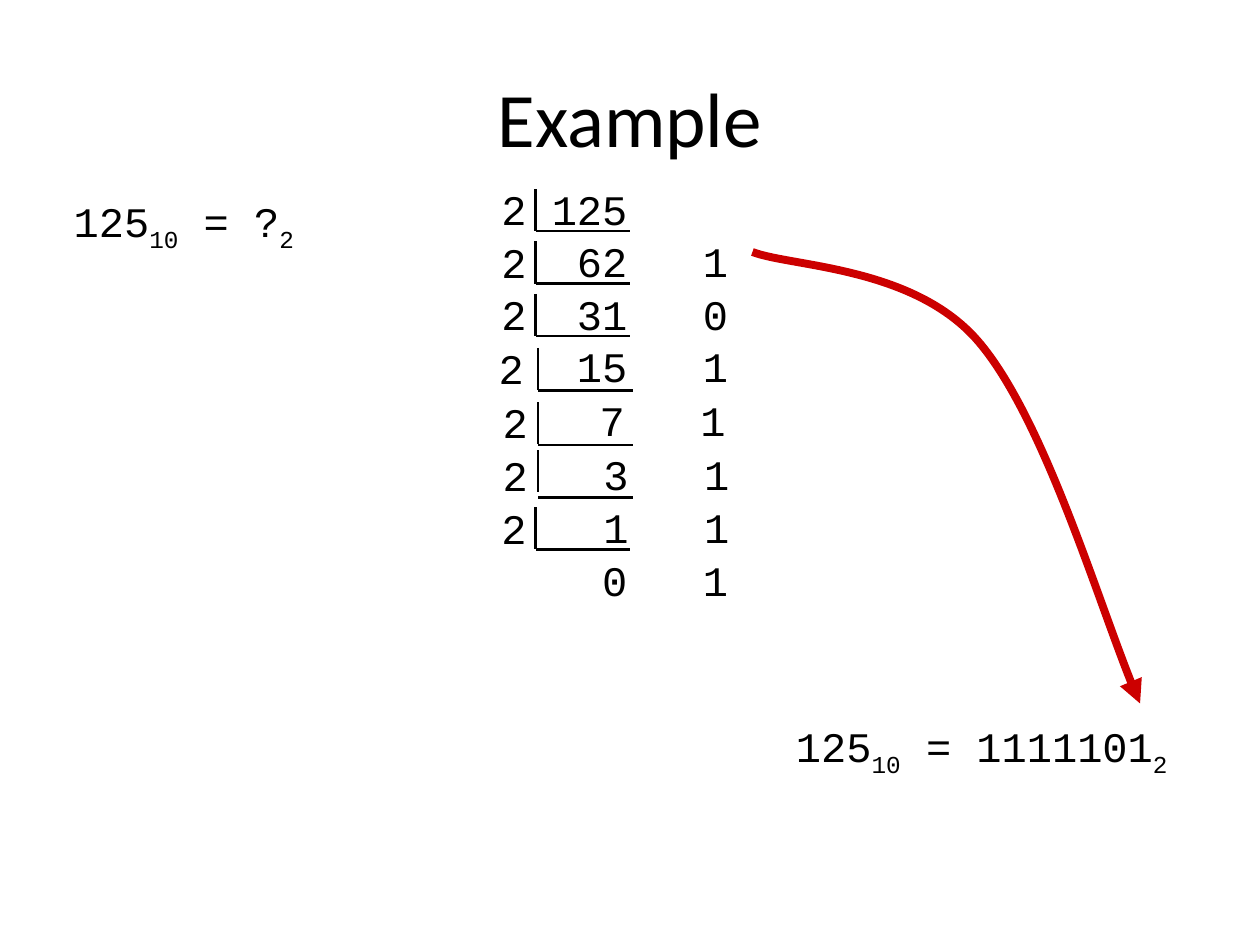
import pptx
import pptx.util
import pptx.dml.color
import pptx.enum.shapes
import pptx.enum.text
import pptx.oxml
from dataclasses import dataclass
from lxml import etree
from pptx.oxml.ns import qn

Pt = pptx.util.Pt
RGB = pptx.dml.color.RGBColor
Align = pptx.enum.text.PP_ALIGN
Anchor = pptx.enum.text.MSO_ANCHOR


@dataclass(frozen=True)
class Theme:
    ink: RGB = RGB(0, 0, 0)
    arrow: RGB = RGB(0xCC, 0, 0)
    title_font: str = "Calibri"
    title_size: float = 44
    number_font: str = "Courier New"
    number_size: float = 24
    line_pitch: float = 29.7
    bracket_width: float = 1.5
    arrow_width: float = 4.5


THEME = Theme()
CHARACTER = 0.6 * THEME.number_size  # advance of one monospaced character

# Each division: box left, box top, bracket left, bar top, base line
STEPS = [
    (279.4, 102.2, 306, 108, 132),
    (279.4, 132, 306, 138, 162),
    (279.4, 162, 306, 168, 192),
    (277.9, 193, 307.5, 198.8, 223),
    (280.1, 223.9, 307.5, 230, 254.2),
    (280.1, 254.2, 307.5, 257.2, 284.4),
    (279.4, 284.4, 306, 290, 314),
]


def add_text_box(shapes, box, anchor=Anchor.TOP):
    shape = shapes.add_textbox(*(Pt(length) for length in box))
    frame = shape.text_frame
    frame.word_wrap = True
    frame.vertical_anchor = anchor
    return frame


def style_numbers(paragraph):
    paragraph.line_spacing = Pt(THEME.line_pitch)
    paragraph.font.name = THEME.number_font
    paragraph.font.size = Pt(THEME.number_size)
    paragraph.font.color.rgb = THEME.ink


def add_title(slide, box, text):
    paragraph = add_text_box(slide.shapes, box, Anchor.MIDDLE).paragraphs[0]
    paragraph.text = text
    paragraph.alignment = Align.CENTER
    paragraph.font.name = THEME.title_font
    paragraph.font.size = Pt(THEME.title_size)
    paragraph.font.color.rgb = THEME.ink


def add_equation(slide, box, value, base, result, result_base):
    frame = add_text_box(slide.shapes, box)
    frame.margin_top = Pt(7)
    paragraph = frame.paragraphs[0]
    paragraph.alignment = Align.CENTER
    style_numbers(paragraph)
    for text, subscript in ((value, base), (f" = {result}", result_base)):
        paragraph.add_run().text = text
        run = paragraph.add_run()
        run.text = subscript
        run.font._element.set("baseline", "-25000")


def add_right_tabs(paragraph, positions):
    properties = paragraph._p.get_or_add_pPr()
    tabs = etree.SubElement(properties, qn("a:tabLst"))
    for position in positions:
        etree.SubElement(tabs, qn("a:tab"), pos=str(Pt(position)), algn="r")


def add_line(shapes, start, end):
    line = shapes.add_connector(
        pptx.enum.shapes.MSO_CONNECTOR.STRAIGHT,
        *(Pt(length) for length in (*start, *end)))
    line.line.color.rgb = THEME.ink
    line.line.width = Pt(THEME.bracket_width)
    etree.SubElement(line._element.spPr, qn("a:effectLst"))


def add_division(slide, box, bracket, dividend, quotient, remainder):
    shapes = slide.shapes.add_group_shape().shapes
    frame = add_text_box(shapes, box)
    frame.margin_top = Pt(2)
    paragraph = frame.paragraphs[0]
    # The numbers end at the fifth character, the remainder at the ninth
    add_right_tabs(paragraph, (5 * CHARACTER, 9 * CHARACTER))
    divisor_line = f"2\t{dividend}" if dividend else "2"
    paragraph.text = f"{divisor_line}\v\t{quotient}\t{remainder}"
    style_numbers(paragraph)

    left, top, base = bracket
    add_line(shapes, (left, top), (left, min(top + 24, base)))
    add_line(shapes, (left, base), (left + 54, base))


def add_division_ladder(slide, number):
    for index, (left, top, *bracket) in enumerate(STEPS):
        quotient, remainder = divmod(number, 2)
        dividend = number if index == 0 else None
        add_division(slide, (left, top, 162, 64.8), bracket,
                     dividend, quotient, remainder)
        number = quotient


def add_curved_arrow(slide, start, curves):
    builder = slide.shapes.build_freeform(Pt(start[0]), Pt(start[1]))
    points = [point for curve in curves for point in curve]
    builder.add_line_segments([(Pt(x), Pt(y)) for x, y in points], close=False)
    shape = builder.convert_to_shape()
    shape.shadow.inherit = False
    shape.fill.background()
    shape.line.color.rgb = THEME.arrow
    shape.line.width = Pt(THEME.arrow_width)
    # Every three points become one Bézier segment
    segments = shape._element.xpath(".//a:lnTo")
    for index in range(0, len(segments), 3):
        curve = etree.Element(qn("a:cubicBezTo"))
        segments[index].addprevious(curve)
        for segment in segments[index:index + 3]:
            curve.append(segment[0])
            segment.getparent().remove(segment)
    etree.SubElement(shape.line._get_or_add_ln(), qn("a:tailEnd"), type="triangle")


def main():
    presentation = pptx.Presentation()
    presentation.slide_width, presentation.slide_height = Pt(720), Pt(540)
    slide = presentation.slides.add_slide(presentation.slide_layouts[6])

    add_title(slide, (36, 21.6, 648, 90), "Example")
    add_equation(slide, (24, 108, 162, 40.3), "125", "10", "?", "2")
    add_division_ladder(slide, 125)
    add_equation(slide, (432, 408, 258, 40.3), "125", "10", "1111101", "2")

    # Remainders are read from the last to the first
    add_curved_arrow(slide, (430, 144), [
        [(451.5, 152.5), (522, 152), (559, 195)],
        [(596, 238), (632, 358.5), (651.5, 402)],
    ])
    presentation.save("out.pptx")


if __name__ == "__main__":
    main()
